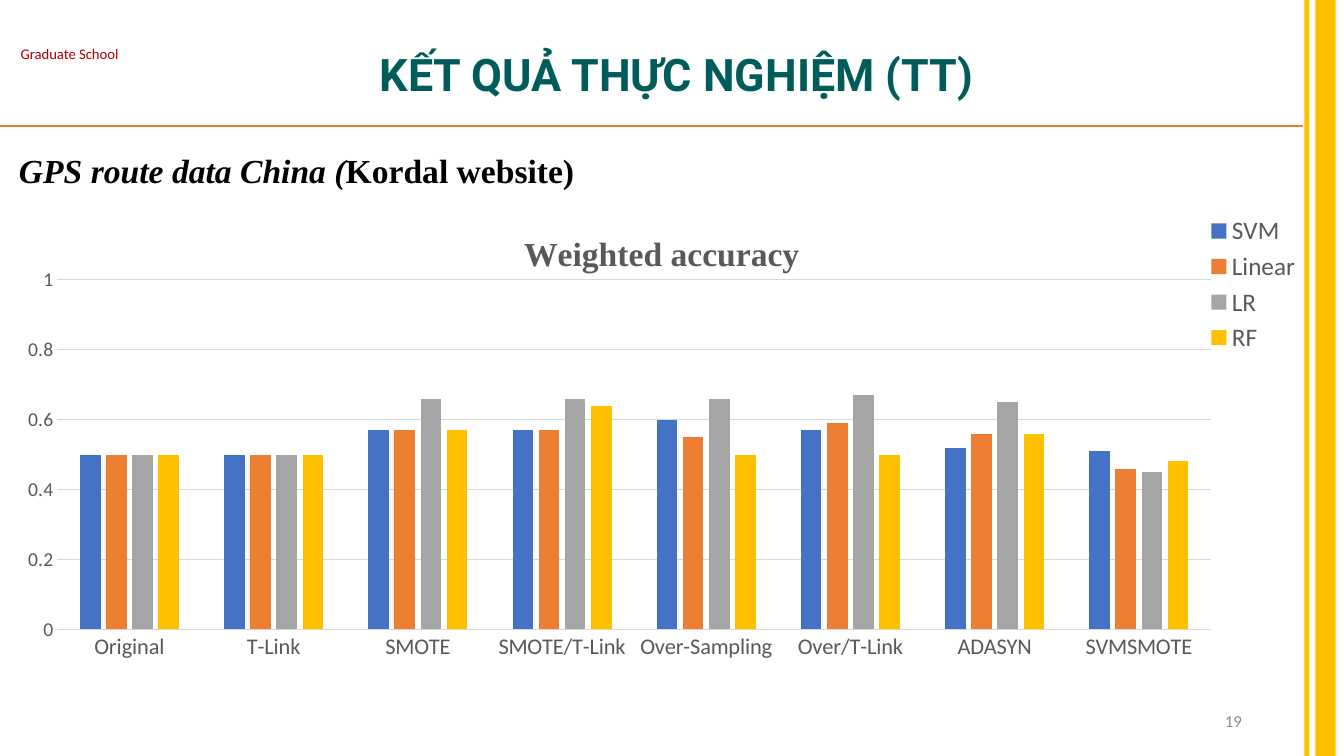
from pptx import Presentation
from pptx.chart.data import CategoryChartData
from pptx.dml.color import RGBColor
from pptx.enum.chart import XL_CHART_TYPE, XL_LEGEND_POSITION, XL_TICK_MARK
from pptx.enum.shapes import MSO_CONNECTOR, MSO_SHAPE
from pptx.enum.text import MSO_ANCHOR, PP_ALIGN
from pptx.oxml import parse_xml
from pptx.oxml.ns import nsdecls, qn
from pptx.util import Pt
from lxml.etree import SubElement

# Content: boxes are left, top, width, height in points
WIDE, HIGH = 960, 540
GOLD, GREY, RULE = "FFC000", "595959", "D9D9D9"
BARS = [(939.6, 14.4), (931.7, 3.6)]
LABELS = [
    # box, align, anchor, font, size, bold, colour, text
    ((0, 28.8, 99.4, 20.2), PP_ALIGN.CENTER, MSO_ANCHOR.TOP,
     "Calibri", 10.5, False, "AC0102", "Graduate School"),
    ((72.7, 28.8, 821.5, 51.8), PP_ALIGN.CENTER, MSO_ANCHOR.MIDDLE,
     "Roboto", 32, True, "005C5A", "KẾT QUẢ THỰC NGHIỆM (TT)"),
    ((678.2, 500.4, 216, 28.8), PP_ALIGN.RIGHT, MSO_ANCHOR.MIDDLE,
     "Calibri", 12, False, "8C8C8C", "19"),
]
HEAD_BOX = (-29.5, 100.8, 580.3, 36)
HEAD = [("GPS route data China (", True), ("Kordal website)", False)]
CHART_BOX = (14.4, 150.5, 916.6, 349.9)
CHART_NAME = "Weighted accuracy"
METHODS = ["Original", "T-Link", "SMOTE", "SMOTE/T-Link",
           "Over-Sampling", "Over/T-Link", "ADASYN", "SVMSMOTE"]
SERIES = [
    ("SVM", "4472C4", (0.5, 0.5, 0.57, 0.57, 0.6, 0.57, 0.52, 0.51)),
    ("Linear", "ED7D31", (0.5, 0.5, 0.57, 0.57, 0.55, 0.59, 0.56, 0.46)),
    ("LR", "A5A5A5", (0.5, 0.5, 0.66, 0.66, 0.66, 0.67, 0.65, 0.45)),
    ("RF", GOLD, (0.5, 0.5, 0.57, 0.64, 0.5, 0.5, 0.56, 0.48)),
]


def rgb(code):
    return RGBColor.from_string(code)


def pts(box):
    return [Pt(n) for n in box]


def style(font, face, size, code, bold=False):
    font.name, font.size, font.bold = face, Pt(size), bold
    font.color.rgb = rgb(code)


def stroke(line, code, width):
    line.color.rgb = rgb(code)
    line.width = Pt(width)


def frame(box, anchor):
    text = slide.shapes.add_textbox(*pts(box)).text_frame
    text.word_wrap = True
    text.vertical_anchor = anchor
    return text


def layout(**parts):
    tags = "".join(f'<c:{k} val="{v}"/>' for k, v in parts.items())
    return parse_xml(f'<c:layout {nsdecls("c")}><c:manualLayout>{tags}'
                     '</c:manualLayout></c:layout>')


deck = Presentation()
deck.slide_width, deck.slide_height = Pt(WIDE), Pt(HIGH)
slide = deck.slides.add_slide(deck.slide_layouts[6])

# Rule under the title and gold bars at the right edge
rule = slide.shapes.add_connector(MSO_CONNECTOR.STRAIGHT, *pts((0, 90, 931, 90)))
stroke(rule.line, "ED7D31", 1)
SubElement(rule._element.spPr, qn("a:effectLst"))
for left, width in BARS:
    bar = slide.shapes.add_shape(MSO_SHAPE.RECTANGLE, *pts((left, 0, width, HIGH)))
    bar.shadow.inherit = False
    bar.fill.solid()
    bar.fill.fore_color.rgb = rgb(GOLD)
    bar.line.fill.background()

# Labels
for box, align, anchor, face, size, bold, code, words in LABELS:
    para = frame(box, anchor).paragraphs[0]
    para.text, para.alignment = words, align
    style(para.font, face, size, code, bold)
    if bold:
        para.line_spacing = 0.9

# Heading above the chart
text = frame(HEAD_BOX, MSO_ANCHOR.TOP)
text.margin_top = Pt(6.6)
para = text.paragraphs[0]
para._p.get_or_add_pPr().set("marL", str(Pt(36)))
style(para.font, "Times New Roman", 24, "000000", True)
for words, slant in HEAD:
    run = para.add_run()
    run.text, run.font.italic = words, slant

# Chart
data = CategoryChartData()
data.categories = METHODS
for name, _, vals in SERIES:
    data.add_series(name, vals)
chart = slide.shapes.add_chart(
    XL_CHART_TYPE.COLUMN_CLUSTERED, *pts(CHART_BOX), data).chart
style(chart.font, "Calibri", 10, "000000")
plot = chart.plots[0]
plot.gap_width, plot.overlap, plot.vary_by_categories = 219, -27, False
for bars, (_, code, _) in zip(plot.series, SERIES):
    bars.format.fill.solid()
    bars.format.fill.fore_color.rgb = rgb(code)

# Chart title, legend and plot area
chart.has_title = True
title = chart.chart_title
para = title.text_frame.paragraphs[0]
para.text = CHART_NAME
style(para.font, "Times New Roman", 24, GREY, True)
title._element.find(qn("c:tx")).addnext(
    layout(xMode="edge", yMode="edge", x=0.39, y=0.05))
chart.has_legend = True
chart.legend.position = XL_LEGEND_POSITION.CORNER
chart.legend.include_in_layout = False
style(chart.legend.font, "Calibri", 18, GREY)
area = chart._chartSpace.chart.plotArea
for old in area.findall(qn("c:layout")):
    area.remove(old)
area.insert(0, layout(layoutTarget="inner", xMode="edge", yMode="edge",
                      x=0.029, y=0.141, w=0.899, h=0.714))

# Axes
cats, vals = chart.category_axis, chart.value_axis
for axis, size in ((cats, 16), (vals, 14)):
    axis.major_tick_mark = axis.minor_tick_mark = XL_TICK_MARK.NONE
    style(axis.tick_labels.font, "Calibri", size, GREY)
stroke(cats.format.line, RULE, 0.75)
vals.format.line.fill.background()
vals.minimum_scale, vals.maximum_scale, vals.major_unit = 0, 1, 0.2
vals.has_major_gridlines = True
stroke(vals.major_gridlines.format.line, RULE, 0.75)

deck.save("out.pptx")
